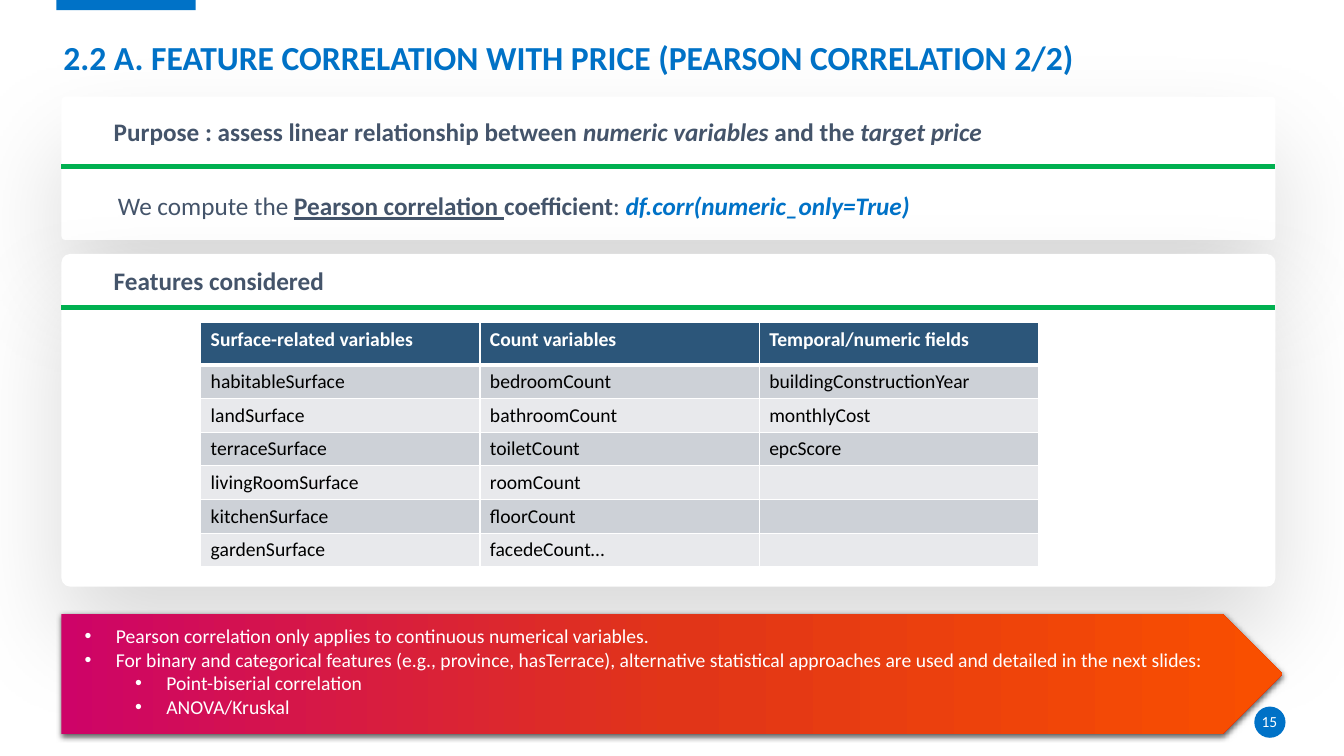
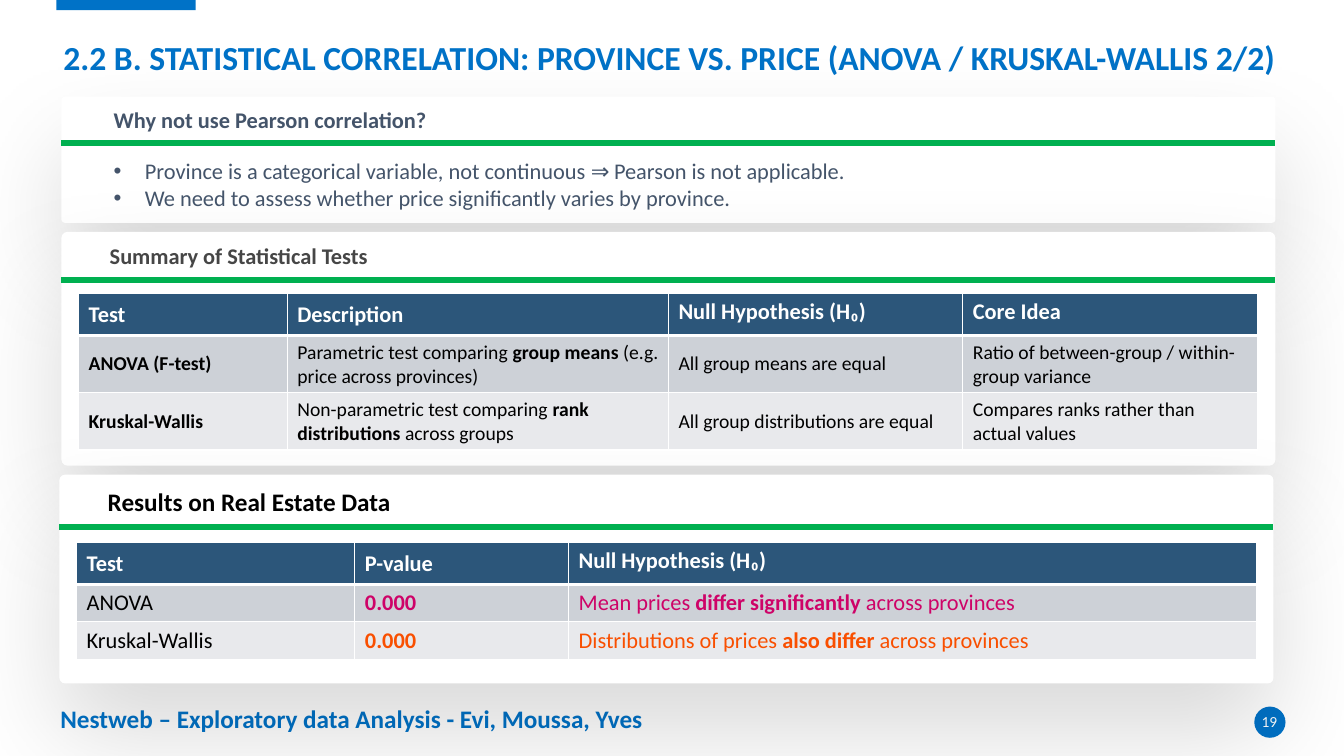
from lxml import etree
from pptx import Presentation
from pptx.dml.color import RGBColor
from pptx.enum.shapes import MSO_CONNECTOR, MSO_SHAPE
from pptx.enum.text import MSO_ANCHOR, PP_ALIGN
from pptx.oxml.ns import qn
from pptx.util import Inches, Pt

RECTANGLE, ROUNDED = MSO_SHAPE.RECTANGLE, MSO_SHAPE.ROUNDED_RECTANGLE
OVAL, PENTAGON = MSO_SHAPE.OVAL, MSO_SHAPE.PENTAGON
STRAIGHT = MSO_CONNECTOR.STRAIGHT
TOP, MIDDLE = MSO_ANCHOR.TOP, MSO_ANCHOR.MIDDLE
LEFT, CENTER = PP_ALIGN.LEFT, PP_ALIGN.CENTER

BLUE = RGBColor(0x00, 0x72, 0xC7)
GREEN = RGBColor(0x00, 0xB0, 0x50)
SLATE = RGBColor(0x44, 0x54, 0x6A)
GRAY = RGBColor(0x46, 0x46, 0x46)
NAVY = RGBColor(0x2C, 0x56, 0x7A)
BANDS = (RGBColor(0xCD, 0xD1, 0xD7), RGBColor(0xE8, 0xE9, 0xEC))
PINK = RGBColor(0xCE, 0x03, 0x68)
RED = RGBColor(0xE1, 0x35, 0x18)
ORANGE = RGBColor(0xF9, 0x4F, 0x00)
WHITE = RGBColor(0xFF, 0xFF, 0xFF)
BLACK = RGBColor(0x00, 0x00, 0x00)

FONT = "Calibri"
CARD_WIDTH = 12.04
HEAD_HEIGHT = 0.42
HANGING, LEVEL_STEP = 0.31, 0.5
CARD_SHADOW = (15, 75, 35)
ARROW_SHADOW = (63, 4.5, 1.5)
FOOTER = "Nestweb – Exploratory data Analysis - Evi, Moussa, Yves"

SLIDES = [
    {
        "title": "2.2 A. FEATURE CORRELATION WITH PRICE (PEARSON CORRELATION 2/2)",
        "page": "15",
        "cards": [
            {"at": (0.61, 0.96), "height": 1.42, "rule": 1.65, "indent": 0.42,
             "size": 18, "color": SLATE,
             "heading": [("Purpose : assess linear relationship between ", "b"),
                         ("numeric variables ", "bi"), ("and the ", "b"),
                         ("target price", "bi")]},
            {"at": (0.61, 2.52), "height": 3.3, "rule": 3.05, "indent": 0.42,
             "size": 18, "color": SLATE, "heading": [("Features considered", "b")]},
        ],
        "text": {"at": (1.07, 1.84, 11.44, 0.4), "size": 18, "color": SLATE,
                 "paragraphs": [
                     (None, [("We compute the ",), ("Pearson correlation ", "bu"),
                             ("coefficient", "b"), (": ",),
                             ("df.corr(numeric_only=True)", "bi", BLUE)])]},
        "tables": [
            {"at": (1.99, 3.2), "columns": [2.77, 2.77, 2.77], "row": 0.33,
             "head_size": 14, "body_size": 14, "anchor": TOP,
             "head": ["Surface-related variables", "Count variables",
                      "Temporal/numeric fields"],
             "body": [["habitableSurface", "bedroomCount", "buildingConstructionYear"],
                      ["landSurface", "bathroomCount", "monthlyCost"],
                      ["terraceSurface", "toiletCount", "epcScore"],
                      ["livingRoomSurface", "roomCount", ""],
                      ["kitchenSurface", "floorCount", ""],
                      ["gardenSurface", "facedeCount…", ""]]},
        ],
        "arrow": [
            (0, "Pearson correlation only applies to continuous numerical variables."),
            (0, "For binary and categorical features (e.g., province, hasTerrace), "
                "alternative statistical approaches are used and detailed in the next slides:"),
            (1, "Point-biserial correlation"),
            (1, "ANOVA/Kruskal"),
        ],
    },
    {
        "title": "2.2 B. STATISTICAL CORRELATION: PROVINCE VS. PRICE "
                 "(ANOVA / KRUSKAL-WALLIS 2/2)",
        "page": "19",
        "footer": FOOTER,
        "cards": [
            {"at": (0.61, 0.96), "height": 1.25, "rule": 1.42, "indent": 0.42,
             "size": 16, "color": SLATE,
             "heading": [("Why not use Pearson correlation?", "b")]},
            {"at": (0.61, 2.3), "height": 2.32, "rule": 2.78, "indent": 0.38,
             "size": 16, "color": GRAY,
             "heading": [("Summary of Statistical Tests", "b")]},
            {"at": (0.59, 4.71), "height": 2.07, "rule": 5.23, "indent": 0.38,
             "size": 18, "color": BLACK,
             "heading": [("Results on Real Estate Data", "b")]},
        ],
        "text": {"at": (1.03, 1.51, 11.44, 0.64), "size": 16, "color": SLATE,
                 "paragraphs": [
                     (0, "Province is a categorical variable, not continuous ⇒ "
                         "Pearson is not applicable."),
                     (0, "We need to assess whether price significantly varies "
                         "by province.")]},
        "tables": [
            {"at": (0.78, 2.91), "columns": [2.07, 3.78, 2.92, 2.92], "row": 0.56,
             "head_size": 16, "body_size": 14, "anchor": MIDDLE,
             "head": ["Test", "Description", "Null Hypothesis (H₀)", "Core Idea"],
             "body": [[[("ANOVA (F-test)", "b")],
                       [("Parametric test comparing ",), ("group means", "b"),
                        (" (e.g. price across provinces)",)],
                       "All group means are equal",
                       "Ratio of between-group / within-group variance"],
                      [[("Kruskal-Wallis", "b")],
                       [("Non-parametric test comparing ",),
                        ("rank distributions", "b"), (" across groups",)],
                       "All group distributions are equal",
                       "Compares ranks rather than actual values"]]},
            {"at": (0.76, 5.38), "columns": [2.76, 2.12, 6.82], "row": 0.37,
             "head_size": 16, "body_size": 16, "anchor": MIDDLE,
             "head": ["Test", "P-value", "Null Hypothesis (H₀)"],
             "body": [["ANOVA", [("0.000", "b", PINK)],
                       [("Mean prices ", "", PINK),
                        ("differ significantly", "b", PINK),
                        (" across provinces", "", PINK)]],
                      ["Kruskal-Wallis", [("0.000", "b", ORANGE)],
                       [("Distributions of prices ", "", ORANGE),
                        ("also differ", "b", ORANGE),
                        (" across provinces", "", ORANGE)]]]},
        ],
    },
]


def write(paragraph, content, size, color):
    runs = [(content,)] if isinstance(content, str) else content
    for text, style, run_color in ((*run, "", None)[:3] if len(run) == 1
                                   else (*run, None)[:3] for run in runs):
        if not text:
            end = etree.SubElement(paragraph._p, qn("a:endParaRPr"))
            end.set("sz", str(size * 100))
            continue
        run = paragraph.add_run()
        run.text = text
        font = run.font
        font.name, font.size = FONT, Pt(size)
        font.bold, font.italic, font.underline = (flag in style for flag in "biu")
        font.color.rgb = run_color or color


def add_bullet(paragraph, level):
    properties = paragraph._p.get_or_add_pPr()
    properties.set("marL", str(Inches(HANGING + level * LEVEL_STEP)))
    properties.set("indent", str(Inches(-HANGING)))
    etree.SubElement(properties, qn("a:buFont"), typeface="Arial")
    etree.SubElement(properties, qn("a:buChar"), char="•")


def add_text(slide, box, paragraphs, size, color, anchor=TOP, align=LEFT, inset=None):
    frame = slide.shapes.add_textbox(*map(Inches, box)).text_frame
    frame.word_wrap = True
    frame.vertical_anchor = anchor
    if inset is not None:
        frame.margin_left = frame.margin_right = Inches(inset)
        frame.margin_top = frame.margin_bottom = Inches(inset)
    for index, (level, content) in enumerate(paragraphs):
        paragraph = frame.add_paragraph() if index else frame.paragraphs[0]
        paragraph.alignment = align
        if level is not None:
            add_bullet(paragraph, level)
        write(paragraph, content, size, color)


def add_shape(slide, kind, box, color, shadow=None):
    shape = slide.shapes.add_shape(kind, *map(Inches, box))
    shape.fill.solid()
    shape.fill.fore_color.rgb = color
    shape.line.fill.background()
    shape.shadow.inherit = False
    if shadow:
        opacity, blur, distance = shadow
        effects = shape._element.spPr.find(qn("a:effectLst"))
        outer = etree.SubElement(effects, qn("a:outerShdw"), blurRad=str(Pt(blur)),
                                 dist=str(Pt(distance)), dir="5400000",
                                 algn="t", rotWithShape="0")
        black = etree.SubElement(outer, qn("a:srgbClr"), val=str(BLACK))
        etree.SubElement(black, qn("a:alpha"), val=str(opacity * 1000))
    return shape


def add_card(slide, card):
    left, top = card["at"]
    rule = card["rule"]
    shape = add_shape(slide, ROUNDED, (left, top, CARD_WIDTH, card["height"]),
                      WHITE, CARD_SHADOW)
    shape.adjustments[0] = 0.026
    line = slide.shapes.add_connector(
        STRAIGHT, *map(Inches, (left, rule, left + CARD_WIDTH, rule)))
    line.line.color.rgb = GREEN
    line.line.width = Pt(4)
    etree.SubElement(line._element.spPr, qn("a:effectLst"))
    add_text(slide, (left + card["indent"], top, 11.24, rule - top),
             [(None, card["heading"])], card["size"], card["color"], MIDDLE)


def style_cell(cell, fill, anchor, bottom_width):
    cell.vertical_anchor = anchor
    properties = cell._tc.get_or_add_tcPr()
    for side in "LRTB":
        width = bottom_width if side == "B" else 1
        border = etree.SubElement(properties, qn(f"a:ln{side}"), w=str(Pt(width)))
        solid = etree.SubElement(border, qn("a:solidFill"))
        etree.SubElement(solid, qn("a:srgbClr"), val=str(WHITE))
    cell.fill.solid()
    cell.fill.fore_color.rgb = fill


def add_table(slide, data):
    rows, columns = [data["head"], *data["body"]], data["columns"]
    height = HEAD_HEIGHT + data["row"] * len(data["body"])
    table = slide.shapes.add_table(
        len(rows), len(columns),
        *map(Inches, (*data["at"], sum(columns), height))).table
    for column, width in zip(table.columns, columns):
        column.width = Inches(width)
    for r, contents in enumerate(rows):
        is_head = r == 0
        table.rows[r].height = Inches(HEAD_HEIGHT if is_head else data["row"])
        for c, content in enumerate(contents):
            cell = table.cell(r, c)
            anchor = TOP if is_head and c > 1 else data["anchor"]
            style_cell(cell, NAVY if is_head else BANDS[(r - 1) % 2],
                       anchor, 3 if is_head else 1)
            paragraph = cell.text_frame.paragraphs[0]
            if is_head:
                write(paragraph, [(content, "b")], data["head_size"], WHITE)
            else:
                write(paragraph, content, data["body_size"], BLACK)


def add_arrow(slide, paragraphs):
    arrow = add_shape(slide, PENTAGON, (0.61, 6.09, 12.11, 1.19), PINK, ARROW_SHADOW)
    arrow.fill.gradient()
    arrow.fill.gradient_angle = 0
    stops = arrow._element.spPr.find(qn("a:gradFill")).find(qn("a:gsLst"))
    for stop in list(stops):
        stops.remove(stop)
    for position, color in ((0, PINK), (50, RED), (100, ORANGE)):
        stop = etree.SubElement(stops, qn("a:gs"), pos=str(position * 1000))
        etree.SubElement(stop, qn("a:srgbClr"), val=str(color))
    add_text(slide, (0.8, 6.15, 12.3, 1.07), paragraphs, 14, WHITE, inset=0.04)


def add_frame(slide, content):
    add_shape(slide, RECTANGLE, (0.56, -0.02, 1.38, 0.12), BLUE)
    if "footer" in content:
        add_text(slide, (0.5, 6.93, 7.92, 0.4),
                 [(None, [(content["footer"], "b")])], 18, BLUE)
    add_shape(slide, OVAL, (12.44, 7.01, 0.31, 0.31), BLUE)
    add_text(slide, (12.27, 7.02, 0.64, 0.29), [(None, content["page"])],
             11, WHITE, align=CENTER)
    add_text(slide, (0.53, 0.34, 12.28, 0.46),
             [(None, [(content["title"], "b")])], 24, BLUE, MIDDLE)


def main():
    presentation = Presentation()
    presentation.slide_width, presentation.slide_height = Inches(13.33), Inches(7.5)
    for content in SLIDES:
        slide = presentation.slides.add_slide(presentation.slide_layouts[6])
        add_frame(slide, content)
        for card in content["cards"]:
            add_card(slide, card)
        text = content["text"]
        add_text(slide, text["at"], text["paragraphs"], text["size"], text["color"])
        for table in content["tables"]:
            add_table(slide, table)
        if "arrow" in content:
            add_arrow(slide, content["arrow"])
    presentation.save("out.pptx")


if __name__ == "__main__":
    main()
